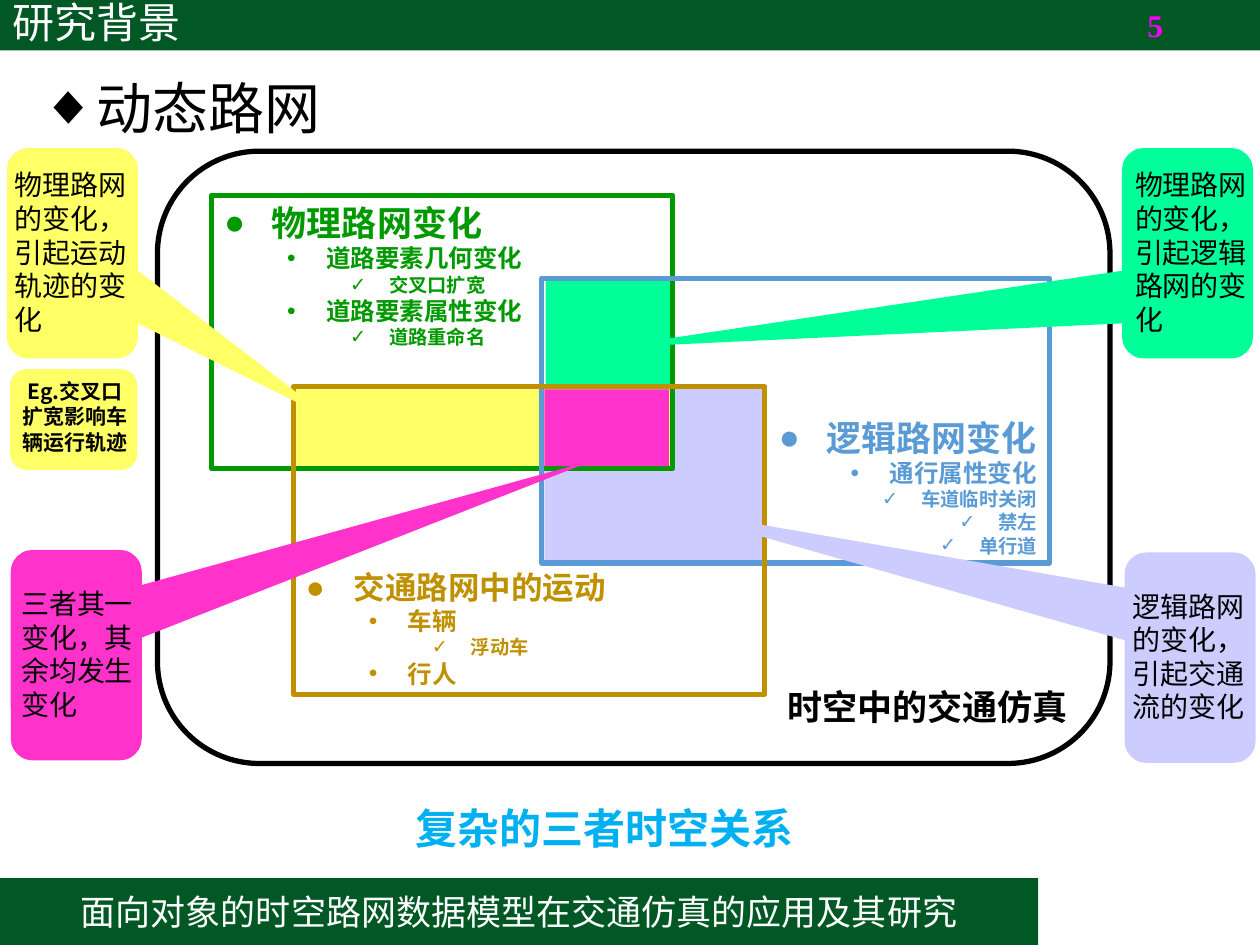
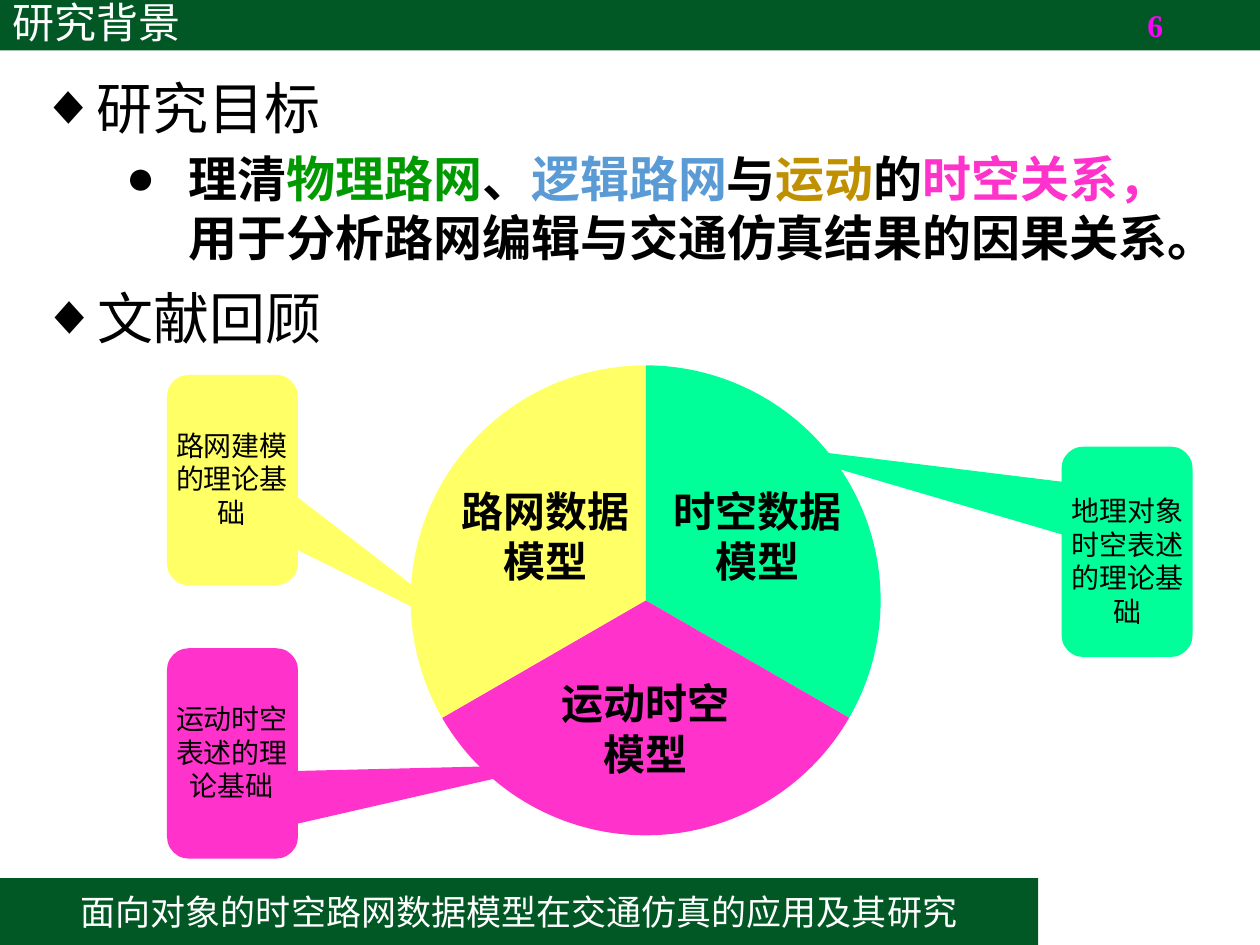
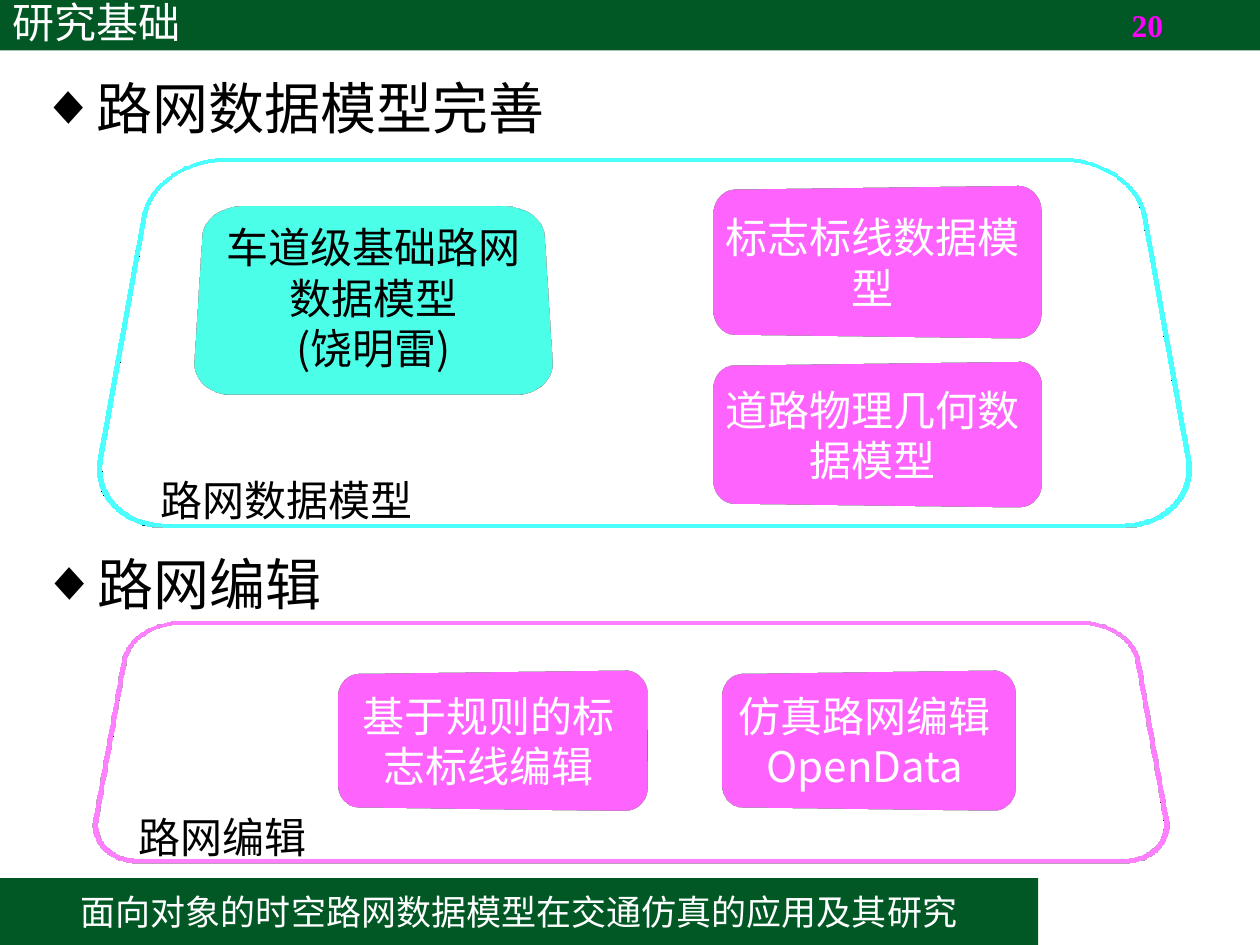
from lxml import etree
from pptx import Presentation, util as u
from pptx.dml import color as c
from pptx.enum import shapes as s, text as t
from pptx.oxml import ns

# Shared look
WIDTH, HEIGHT = 10, 7.5
BAND, INK, WHITE, MAGENTA = "015825", "000000", "FFFFFF", "FF00FF"
GREEN, BLUE, GOLD, SKY = "009900", "5B9BD5", "BF9000", "00B0F0"
YELLOW, MINT, LILAC, PINK = "FFFF66", "00FF99", "CCCCFF", "FF33CC"
SANS, BOLD_SANS, SERIF = "Noto Sans CJK JP", "Noto Sans CJK SC", "Times New Roman"
BULLET_FONT = "Arial"
LINE_RATIO, TITLE_RATIO = 1.2, 1.08
TILTED, TURNED = "perspectiveRelaxedModerately", "perspectiveLeft"
FOOTER = "面向对象的时空路网数据模型在交通仿真的应用及其研究"

# Bullet, left margin (the hanging indent follows)
HEADING = ("◆", 0.31, 0.31)
GOAL_BULLET = ("●", 0.5, 0.5)
LEVELS = [(("●", 0.38, 0.38), 20), (("•", 0.81, 0.31), 14), (("✓", 1.31, 0.31), 11)]

# Slide 1: overlaps (box, fill), then lists (box, colour, anchor, align, head size, items)
OVERLAPS = [
    ((4.32, 3.07, 1.76, 1.38), LILAC),
    ((4.33, 2.23, 0.99, 1.47), MINT),
    ((2.33, 3.09, 2.99, 0.61), YELLOW),
]
CORE = (4.32, 3.09, 0.99, 0.61)
CHANGES = [
    ((1.68, 1.55, 3.66, 2.17), GREEN, "TOP", "LEFT", 20, [
        (0, "物理路网变化"), (1, "道路要素几何变化"), (2, "交叉口扩宽"),
        (1, "道路要素属性变化"), (2, "道路重命名")]),
    ((4.3, 2.21, 4.03, 2.26), BLUE, "BOTTOM", "RIGHT", 20, [
        (0, "逻辑路网变化"), (1, "通行属性变化"), (2, "车道临时关闭"),
        (2, "禁左"), (2, "单行道")]),
    ((2.33, 3.07, 3.74, 2.44), GOLD, "BOTTOM", "LEFT", 18, [
        (0, "交通路网中的运动"), (1, "车辆"), (2, "浮动车"), (1, "行人")]),
]
# Callouts: left and top before turning, rotation, pointer, fill, text centre, text
EFFECTS = [
    ((-0.26, 1.49), 270, (-0.792, 1.984), YELLOW, (0.58, 2),
     "物理路网的变化，引起运动轨迹的变化"),
    ((8.59, 1.49), 90, (0.449, 4.432), MINT, (9.47, 2),
     "物理路网的变化，引起逻辑路网的变化"),
    ((8.61, 4.7), 90, (-0.717, 4.061), LILAC, (9.45, 5.21),
     "逻辑路网的变化，引起交通流的变化"),
    ((-0.23, 4.68), 90, (-0.933, -3.978), PINK, (0.63, 5.19),
     "三者其一变化，其余均发生变化"),
]

# Slide 2
GOAL = [("理清", INK), ("物理路网", GREEN), ("、", INK), ("逻辑路网", BLUE), ("与", INK),
        ("运动", GOLD), ("的", INK), ("时空关系，", PINK),
        ("用于分析路网编辑与交通仿真结果的因果关系。", INK)]
PIE = (3.26, 2.9, 3.73, 3.73)
# Sectors clockwise from the top: fill, label centre, label lines
SECTORS = [
    (MINT, (6.01, 4.25), ["时空数据", "模型"]),
    (PINK, (5.12, 5.78), ["运动时空", "模型"]),
    (YELLOW, (4.33, 4.25), ["路网数据", "模型"]),
]
THEORIES = [
    ((1.01, 3.29), 270, (-0.792, 1.984), YELLOW, (1.84, 3.8), "路网建模的理论基础"),
    ((8.11, 3.86), 90, (-0.514, 2.859), MINT, (8.95, 4.45), "地理对象时空表述的理论基础"),
    ((1.01, 5.46), 90, (0.054, -2.461), PINK, (1.84, 5.97), "运动时空表述的理论基础"),
]

# Slide 3: box, fill, camera, text colour, lines
MODULES = [
    ((1.58, 1.45, 2.77, 1.82), MINT, TILTED, INK, ["车道级基础路网数据模型", "(饶明雷)"]),
    ((5.54, 1.49, 2.77, 1.18), PINK, TURNED, WHITE, ["标志标线数据模型"]),
    ((5.54, 2.89, 2.77, 1.12), PINK, TURNED, WHITE, ["道路物理几何数据模型"]),
    ((5.63, 5.34, 2.47, 1.08), PINK, TURNED, WHITE, ["仿真路网编辑OpenData"]),
    ((2.57, 5.34, 2.61, 1.08), PINK, TURNED, WHITE, ["基于规则的标志标线编辑"]),
]
FRAMES = [
    ((1, 0.86, 8.23, 3.53), SKY, "路网数据模型"),
    ((0.89, 4.7, 8.23, 2.3), PINK, "路网编辑"),
]


def rgb(value):
    return c.RGBColor.from_string(value)


def inches(values):
    return [u.Inches(value) for value in values]


def set_bullet(para, bullet):
    mark, margin, hang = bullet
    props = para._p.get_or_add_pPr()
    props.set("marL", str(u.Inches(margin)))
    props.set("indent", str(-u.Inches(hang)))
    etree.SubElement(props, ns.qn("a:buFont")).set("typeface", BULLET_FONT)
    etree.SubElement(props, ns.qn("a:buChar")).set("char", mark)


def write(shape, paras, size=24, color=INK, font=SANS, bold=False, align="LEFT",
          anchor="MIDDLE", bullet=None, ratio=LINE_RATIO):
    """Each paragraph is a string, a list of (text, colour), or (level, text, size)."""
    frame = shape.text_frame
    settings = {"word_wrap": True, "auto_size": t.MSO_AUTO_SIZE.NONE,
                "vertical_anchor": getattr(t.MSO_ANCHOR, anchor),
                "margin_left": u.Inches(0.1), "margin_right": u.Inches(0.1),
                "margin_top": u.Inches(0.05), "margin_bottom": u.Inches(0.05)}
    for name, value in settings.items():
        setattr(frame, name, value)
    for index, item in enumerate(paras):
        para = frame.add_paragraph() if index else frame.paragraphs[0]
        mark, points, runs = bullet, size, item
        if isinstance(item, tuple):
            level, runs, points = item
            para.level, mark = level, LEVELS[level][0]
        if isinstance(runs, str):
            runs = [(runs, color)]
        layout = {"alignment": getattr(t.PP_ALIGN, align), "space_before": u.Pt(0),
                  "space_after": u.Pt(0), "line_spacing": u.Pt(points * ratio)}
        for name, value in layout.items():
            setattr(para, name, value)
        if mark:
            set_bullet(para, mark)
        for words, shade in runs:
            span = para.add_run()
            span.text = words
            for name, value in {"size": u.Pt(points), "bold": bold, "name": font}.items():
                setattr(span.font, name, value)
            span.font.color.rgb = rgb(shade)
            etree.SubElement(span._r.get_or_add_rPr(), ns.qn("a:ea")).set("typeface", font)
    return shape


def add_box(page, box, fill=None, line=None, kind="RECTANGLE"):
    """Add a preset shape with a flat fill and a 3 pt outline, or neither."""
    shape = page.shapes.add_shape(getattr(s.MSO_SHAPE, kind), *inches(box))
    shape.shadow.inherit = False
    if fill:
        shape.fill.solid()
        shape.fill.fore_color.rgb = rgb(fill)
    else:
        shape.fill.background()
    if line:
        shape.line.color.rgb = rgb(line)
        shape.line.width = u.Pt(3)
    else:
        shape.line.fill.background()
    return shape


def add_text(page, box, paras, **format_values):
    return write(page.shapes.add_textbox(*inches(box)), paras, **format_values)


def add_heading(page, top, words):
    add_text(page, (0.23, top, 9, 0.64), [words], size=32, bullet=HEADING, anchor="TOP")


def add_callouts(page, callouts, align):
    for corner, turn, pointer, fill, (x, y), words in callouts:
        bubble = add_box(page, (*corner, 1.67, 1.04), fill,
                         kind="ROUNDED_RECTANGULAR_CALLOUT")
        bubble.rotation = turn
        for index, value in enumerate((*pointer, 0.167)):
            bubble.adjustments[index] = value
        add_text(page, (x - 0.56, y - 0.73, 1.12, 1.46), [words], size=16, align=align)


def set_camera(shape, preset):
    """View a shape in perspective."""
    scene = etree.SubElement(shape.element.spPr, ns.qn("a:scene3d"))
    etree.SubElement(scene, ns.qn("a:camera")).set("prst", preset)
    light = etree.SubElement(scene, ns.qn("a:lightRig"))
    light.set("rig", "threePt")
    light.set("dir", "t")


def new_page(deck, title, number, heading):
    page = deck.slides.add_slide(deck.slide_layouts[1])
    body = page.placeholders[1]
    for holder, box in ((page.shapes.title, (0, -0.01, WIDTH, 0.41)),
                        (body, (0.22, 0.53, 9, 0.64))):
        holder.left, holder.top, holder.width, holder.height = inches(box)
    page.shapes.title.fill.solid()
    page.shapes.title.fill.fore_color.rgb = rgb(BAND)
    write(page.shapes.title, [title], color=WHITE, ratio=TITLE_RATIO)
    write(body, [heading], size=32, bullet=HEADING, anchor="TOP")
    add_text(page, (7.08, 0, 2.25, 0.4), [number], size=18, color=MAGENTA, font=SERIF,
             bold=True, align="RIGHT")
    return page


def add_footer(deck, page):
    """Build the footer band and hand it to the shared layout."""
    band = add_box(page, (0, 6.97, 8.24, 0.53), BAND)
    write(band, [FOOTER], size=20, color=WHITE, align="CENTER")
    deck.slide_layouts[1].shapes.element.append(band.element)


def build_network(page):
    for box, fill in OVERLAPS:
        add_box(page, box, fill)
    scene = add_box(page, (1.25, 1.2, 7.56, 4.86), line=INK, kind="ROUNDED_RECTANGLE")
    write(scene, ["时空中的交通仿真"], size=20, font=BOLD_SANS, bold=True, align="RIGHT",
          anchor="BOTTOM")
    for box, color, anchor, align, head, items in CHANGES:
        paras = [(level, words, LEVELS[level][1] if level else head) for level, words in items]
        write(add_box(page, box, line=color), paras, color=color, font=BOLD_SANS, bold=True,
              align=align, anchor=anchor)
    add_box(page, CORE, PINK)
    add_text(page, (3.2, 6.32, 3.4, 0.5), ["复杂的三者时空关系"], color=SKY, bold=True)
    add_callouts(page, EFFECTS, "LEFT")
    add_box(page, (0.08, 2.93, 1.01, 0.8), YELLOW, kind="ROUNDED_RECTANGLE")
    add_text(page, (0.04, 2.95, 1.11, 0.71), ["Eg.交叉口扩宽影响车辆运行轨迹"], size=12,
             font=BOLD_SANS, bold=True, align="CENTER")


def build_review(page):
    add_text(page, (0.9, 1.13, 8.85, 1.04), [GOAL], size=28, bold=True, bullet=GOAL_BULLET,
             anchor="TOP")
    add_heading(page, 2.2, "文献回顾")
    sweep = 360 / len(SECTORS)
    for index, (fill, (x, y), lines) in enumerate(SECTORS):
        wedge = add_box(page, PIE, fill, kind="PIE")
        for side in (0, 1):
            # Angles run clockwise from the right, in units of 0.6 per degree
            wedge.adjustments[side] = (270 + (index + side) * sweep) % 360 * 0.6
        add_text(page, (x - 0.8, y - 0.46, 1.6, 0.92), lines, font=BOLD_SANS, bold=True,
                 align="CENTER")
    add_callouts(page, THEORIES, "CENTER")


def build_foundation(page):
    add_heading(page, 4.31, "路网编辑")
    for box, fill, camera, color, lines in MODULES:
        panel = add_box(page, box, fill, kind="ROUNDED_RECTANGLE")
        write(panel, lines, color=color, align="CENTER")
        set_camera(panel, camera)
    for box, line, words in FRAMES:
        frame = add_box(page, box, line=line, kind="ROUNDED_RECTANGLE")
        write(frame, [words], anchor="BOTTOM")
        set_camera(frame, TILTED)


PAGES = [
    ("研究背景", "5", "动态路网", build_network),
    ("研究背景", "6", "研究目标", build_review),
    ("研究基础", "20", "路网数据模型完善", build_foundation),
]


def main():
    deck = Presentation()
    deck.slide_width, deck.slide_height = inches((WIDTH, HEIGHT))
    for index, (title, number, heading, build) in enumerate(PAGES):
        page = new_page(deck, title, number, heading)
        if index == 0:
            add_footer(deck, page)
        build(page)
    deck.save("out.pptx")


if __name__ == "__main__":
    main()
